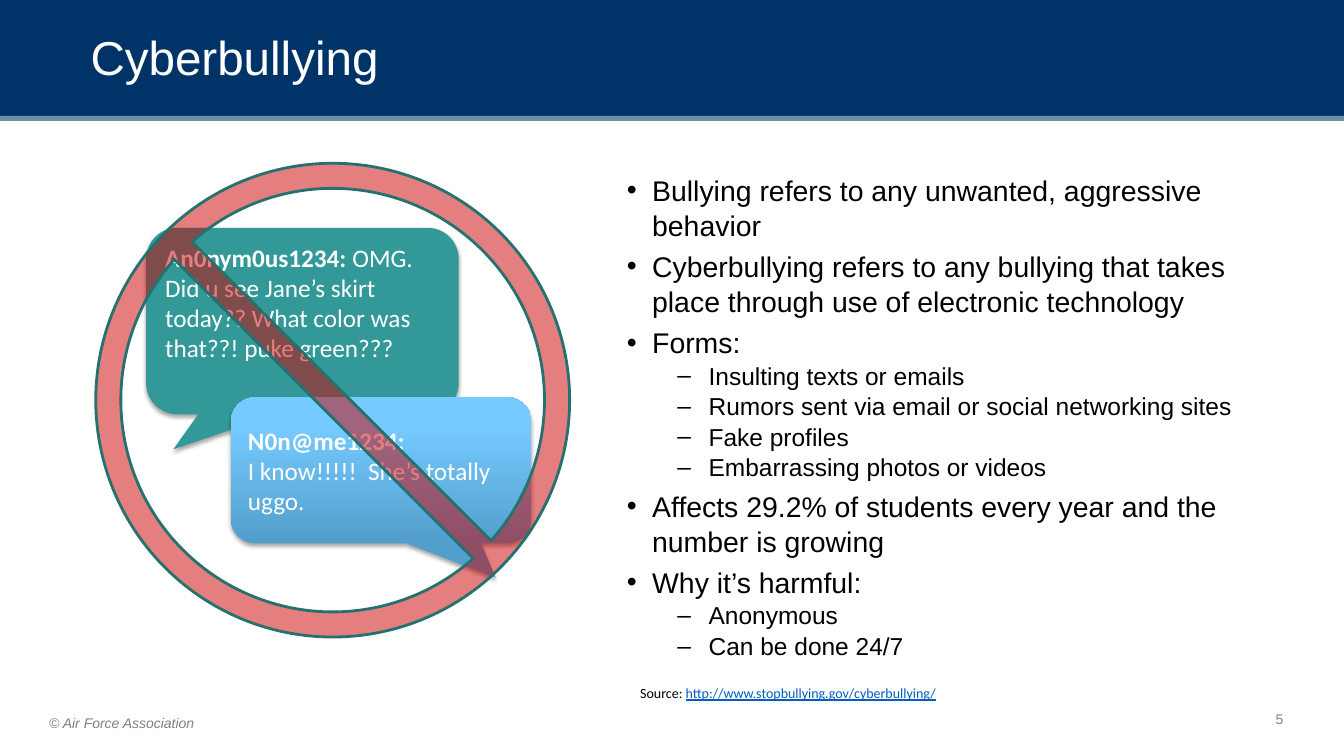
from dataclasses import dataclass

import pptx
import pptx.dml.color
import pptx.enum.dml
import pptx.enum.shapes
import pptx.enum.text
import pptx.oxml
import pptx.oxml.ns
import pptx.util
from pptx.util import Inches

SHAPE = pptx.enum.shapes.MSO_SHAPE
ALIGN = pptx.enum.text.PP_ALIGN
ANCHOR = pptx.enum.text.MSO_ANCHOR
NAMESPACE = pptx.oxml.ns.nsdecls("a")


@dataclass(frozen=True)
class Theme:
    heading_font: str = "Arial"
    bubble_font: str = "Calibri"
    navy: str = "003468"
    white: str = "FFFFFF"
    black: str = "000000"
    gray: str = "808080"
    link: str = "005EC0"
    teal: str = "329998"
    ban_fill: str = "CC0000"
    ban_edge: str = "257170"
    sky: tuple = ((0, "529ECC"), (80, "75CAFF"), (100, "77CBFF"))
    title_size: float = 34
    point_size: float = 20.3
    detail_size: float = 17.5
    bubble_size: float = 18
    small_size: float = 10


@dataclass(frozen=True)
class Area:
    left: float
    top: float
    width: float
    height: float

    def lengths(self) -> tuple:
        return tuple(Inches(v) for v in (self.left, self.top, self.width, self.height))


@dataclass(frozen=True)
class Level:
    bullet: str
    size: float
    margin: float
    hanging: float
    before: float


@dataclass(frozen=True)
class Bubble:
    area: Area
    tail: tuple
    fill: str | tuple
    anchor: ANCHOR
    lines: tuple


THEME = Theme()
POINT = Level("•", THEME.point_size, 0.25, 0.25, 4)
DETAIL = Level("–", THEME.detail_size, 0.81, 0.31, 0)
LINE_SPACING = 1.04

POINTS = (
    (POINT, "Bullying refers to any unwanted, aggressive behavior"),
    (POINT, "Cyberbullying refers to any bullying that takes place through use of electronic technology"),
    (POINT, "Forms:"),
    (DETAIL, "Insulting texts or emails"),
    (DETAIL, "Rumors sent via email or social networking sites"),
    (DETAIL, "Fake profiles"),
    (DETAIL, "Embarrassing photos or videos"),
    (POINT, "Affects 29.2% of students every year and the number is growing"),
    (POINT, "Why it’s harmful:"),
    (DETAIL, "Anonymous"),
    (DETAIL, "Can be done 24/7"),
)

BUBBLES = (
    Bubble(Area(1.45, 2.26, 3.1, 1.85), (-0.413, 0.688, 0.167), THEME.teal, ANCHOR.TOP,
           ((("An0nym0us1234: ", True),
             ("OMG. Did u see Jane’s skirt today?? What color was that??! puke green???", False)),)),
    Bubble(Area(2.29, 3.94, 2.98, 1.45), (0.381, 0.735, 0.167), THEME.sky, ANCHOR.MIDDLE,
           ((("N0n@me1234:", True),),
            (("I know!!!!!  She’s totally uggo.", False),))),
)


def rgb(value: str) -> pptx.dml.color.RGBColor:
    return pptx.dml.color.RGBColor.from_string(value)


def add_span(para, text: str, *, size: float, color: str, font: str = THEME.heading_font,
             bold: bool = False, italic: bool = False, underline: bool = False) -> None:
    span = para.add_run()
    span.text = text
    span.font.name = font
    span.font.size = pptx.util.Pt(size)
    span.font.color.rgb = rgb(color)
    span.font.bold = bold
    span.font.italic = italic
    span.font.underline = underline


def add_box(page, area: Area, *, anchor=ANCHOR.TOP, align=ALIGN.LEFT, wrap: bool = True):
    frame = page.shapes.add_textbox(*area.lengths()).text_frame
    frame.word_wrap = wrap
    frame.vertical_anchor = anchor
    frame.paragraphs[0].alignment = align
    return frame


def next_para(frame, index: int):
    return frame.add_paragraph() if index else frame.paragraphs[0]


def set_alpha(color_format, percent: int) -> None:
    for node in color_format._xFill.iter(pptx.oxml.ns.qn("a:srgbClr")):
        node.append(pptx.oxml.parse_xml(f'<a:alpha {NAMESPACE} val="{percent * 1000}"/>'))


def add_figure(page, kind, area: Area, fill: str):
    figure = page.shapes.add_shape(kind, *area.lengths())
    figure.shadow.inherit = False
    figure.fill.solid()
    figure.fill.fore_color.rgb = rgb(fill)
    figure.line.fill.background()
    return figure


def set_gradient(figure, stops: tuple) -> None:
    marks = "".join(f'<a:gs pos="{place * 1000}"><a:srgbClr val="{color}"/></a:gs>' for place, color in stops)
    gradient = pptx.oxml.parse_xml(
        f'<a:gradFill {NAMESPACE} rotWithShape="1"><a:gsLst>{marks}</a:gsLst>'
        '<a:lin ang="16200000" scaled="0"/></a:gradFill>')
    properties = figure._element.spPr
    properties.replace(properties.find(pptx.oxml.ns.qn("a:solidFill")), gradient)


def set_shadow(figure) -> None:
    effects = figure._element.spPr.find(pptx.oxml.ns.qn("a:effectLst"))
    effects.append(pptx.oxml.parse_xml(
        f'<a:outerShdw {NAMESPACE} blurRad="{pptx.util.Pt(3.1)}" dist="{pptx.util.Pt(1.8)}" '
        f'dir="5400000" rotWithShape="0"><a:srgbClr val="{THEME.black}">'
        '<a:alpha val="35000"/></a:srgbClr></a:outerShdw>'))


def add_bubble(page, bubble: Bubble) -> None:
    gradient = isinstance(bubble.fill, tuple)
    figure = add_figure(page, SHAPE.ROUNDED_RECTANGULAR_CALLOUT, bubble.area,
                        THEME.teal if gradient else bubble.fill)
    if gradient:
        set_gradient(figure, bubble.fill)
    set_shadow(figure)
    for index, value in enumerate(bubble.tail):
        figure.adjustments[index] = value
    frame = figure.text_frame
    frame.word_wrap = True
    frame.vertical_anchor = bubble.anchor
    for index, line in enumerate(bubble.lines):
        para = next_para(frame, index)
        para.alignment = ALIGN.LEFT
        for text, bold in line:
            add_span(para, text, size=THEME.bubble_size, color=THEME.white,
                     font=THEME.bubble_font, bold=bold)


def add_points(page, area: Area) -> None:
    frame = add_box(page, area)
    for index, (level, text) in enumerate(POINTS):
        para = next_para(frame, index)
        para.level = 0 if level is POINT else 1
        para.line_spacing = LINE_SPACING
        para.space_before = pptx.util.Pt(level.before if index else 0)
        properties = para._p.get_or_add_pPr()
        properties.set("marL", str(Inches(level.margin)))
        properties.set("indent", str(-Inches(level.hanging)))
        properties.append(pptx.oxml.parse_xml(f'<a:buFont {NAMESPACE} typeface="{THEME.heading_font}"/>'))
        properties.append(pptx.oxml.parse_xml(f'<a:buChar {NAMESPACE} char="{level.bullet}"/>'))
        add_span(para, text, size=level.size, color=THEME.black)


def add_header(page) -> None:
    add_figure(page, SHAPE.RECTANGLE, Area(0, 0, 13.33, 1.2), THEME.navy)
    rule = page.shapes.add_connector(pptx.enum.shapes.MSO_CONNECTOR.STRAIGHT,
                                     Inches(0), Inches(1.18), Inches(13.33), Inches(1.18))
    rule.line.width = pptx.util.Pt(4.5)
    rule.line.color.rgb = rgb(THEME.white)
    set_alpha(rule.line.fill.fore_color, 44)
    rule._element.spPr.append(pptx.oxml.parse_xml(f"<a:effectLst {NAMESPACE}/>"))
    title = add_box(page, Area(0.8, 0.25, 11.87, 0.63), anchor=ANCHOR.MIDDLE)
    add_span(title.paragraphs[0], "Cyberbullying", size=THEME.title_size, color=THEME.white)


def add_footer(page) -> None:
    owner = add_box(page, Area(0.39, 7.04, 4.56, 0.27))
    add_span(owner.paragraphs[0], "© Air Force Association", size=THEME.small_size,
             color=THEME.gray, italic=True)
    number = add_box(page, Area(12.32, 6.93, 0.74, 0.4), anchor=ANCHOR.MIDDLE, align=ALIGN.CENTER)
    add_span(number.paragraphs[0], "5", size=THEME.small_size, color=THEME.gray)
    source = add_box(page, Area(6.22, 6.74, 3.19, 0.27), align=ALIGN.CENTER, wrap=False).paragraphs[0]
    add_span(source, "Source: ", size=THEME.small_size, color=THEME.black, font=THEME.bubble_font)
    add_span(source, "http://www.stopbullying.gov/cyberbullying/", size=THEME.small_size,
             color=THEME.link, font=THEME.bubble_font, underline=True)


def add_ban(page) -> None:
    ban = add_figure(page, SHAPE.NO_SYMBOL, Area(0.95, 1.62, 4.7, 4.7), THEME.ban_fill)
    ban.adjustments[0] = 0.053
    set_alpha(ban.fill.fore_color, 50)
    ban.line.color.rgb = rgb(THEME.ban_edge)
    ban.line.width = pptx.util.Pt(2)


def main() -> None:
    deck = pptx.Presentation()
    deck.slide_width, deck.slide_height = Inches(13.33), Inches(7.5)
    page = deck.slides.add_slide(deck.slide_layouts[6])
    add_header(page)
    add_points(page, Area(6.12, 1.65, 6.41, 5.07))
    for bubble in BUBBLES:
        add_bubble(page, bubble)
    add_footer(page)
    add_ban(page)
    deck.save("out.pptx")


if __name__ == "__main__":
    main()
